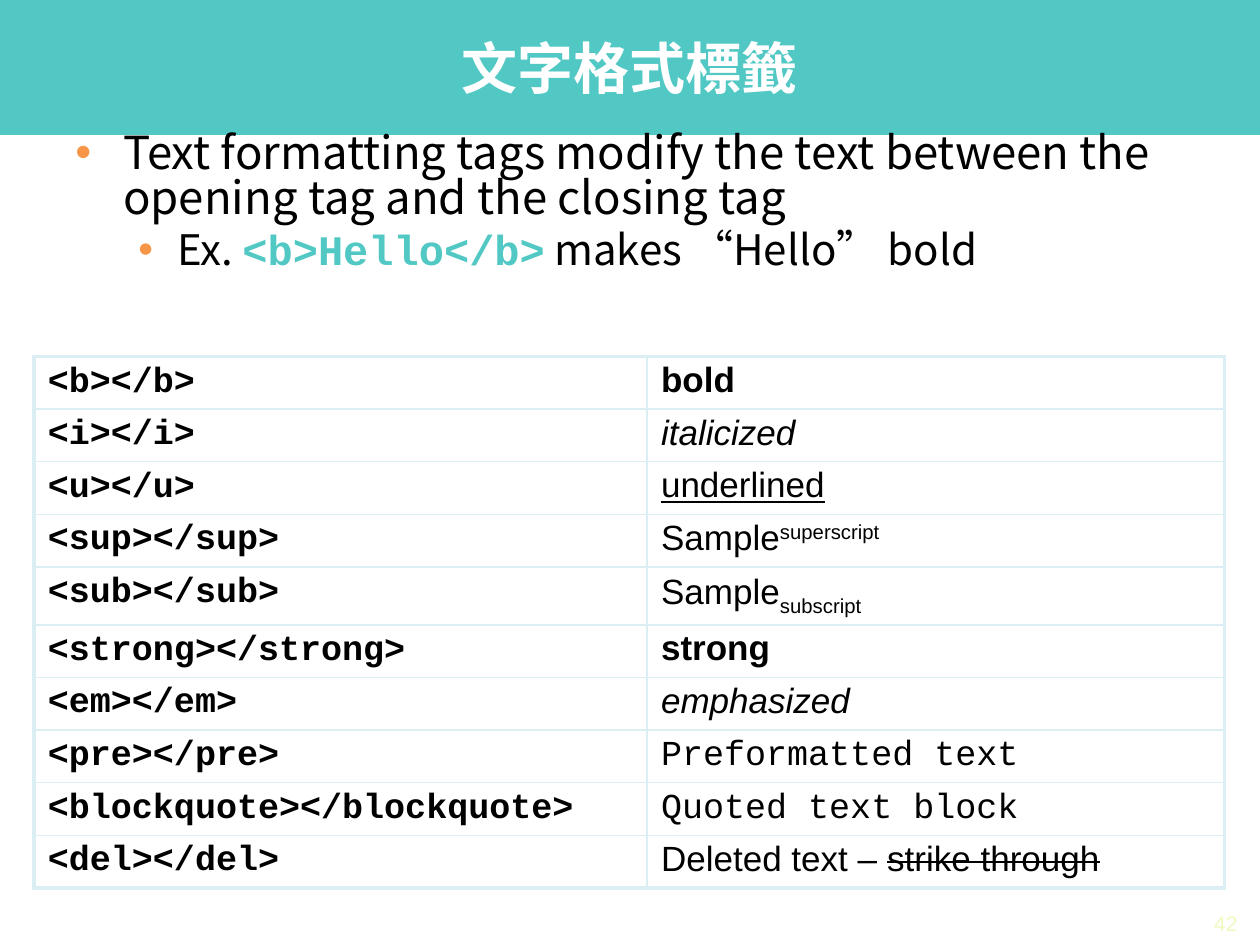
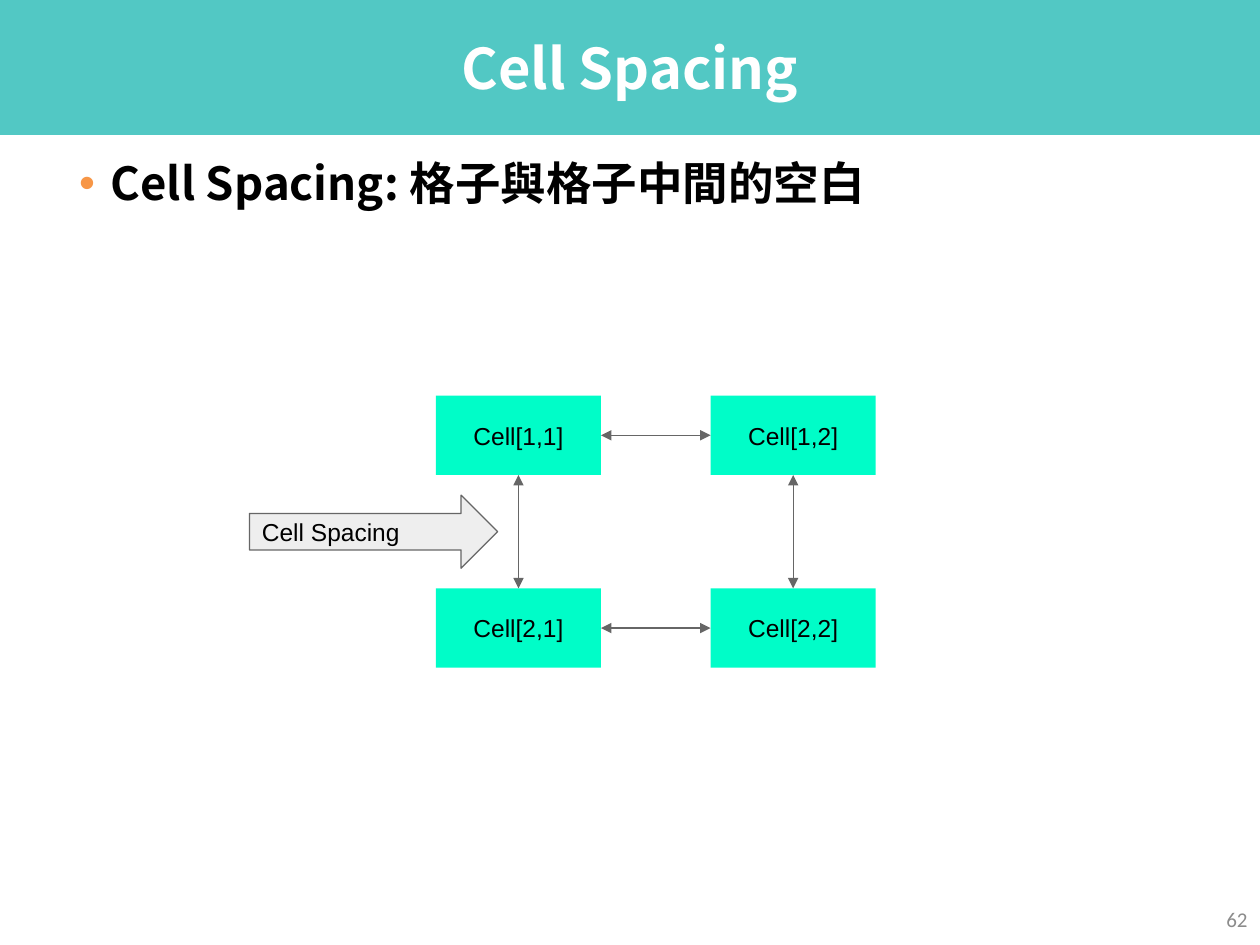
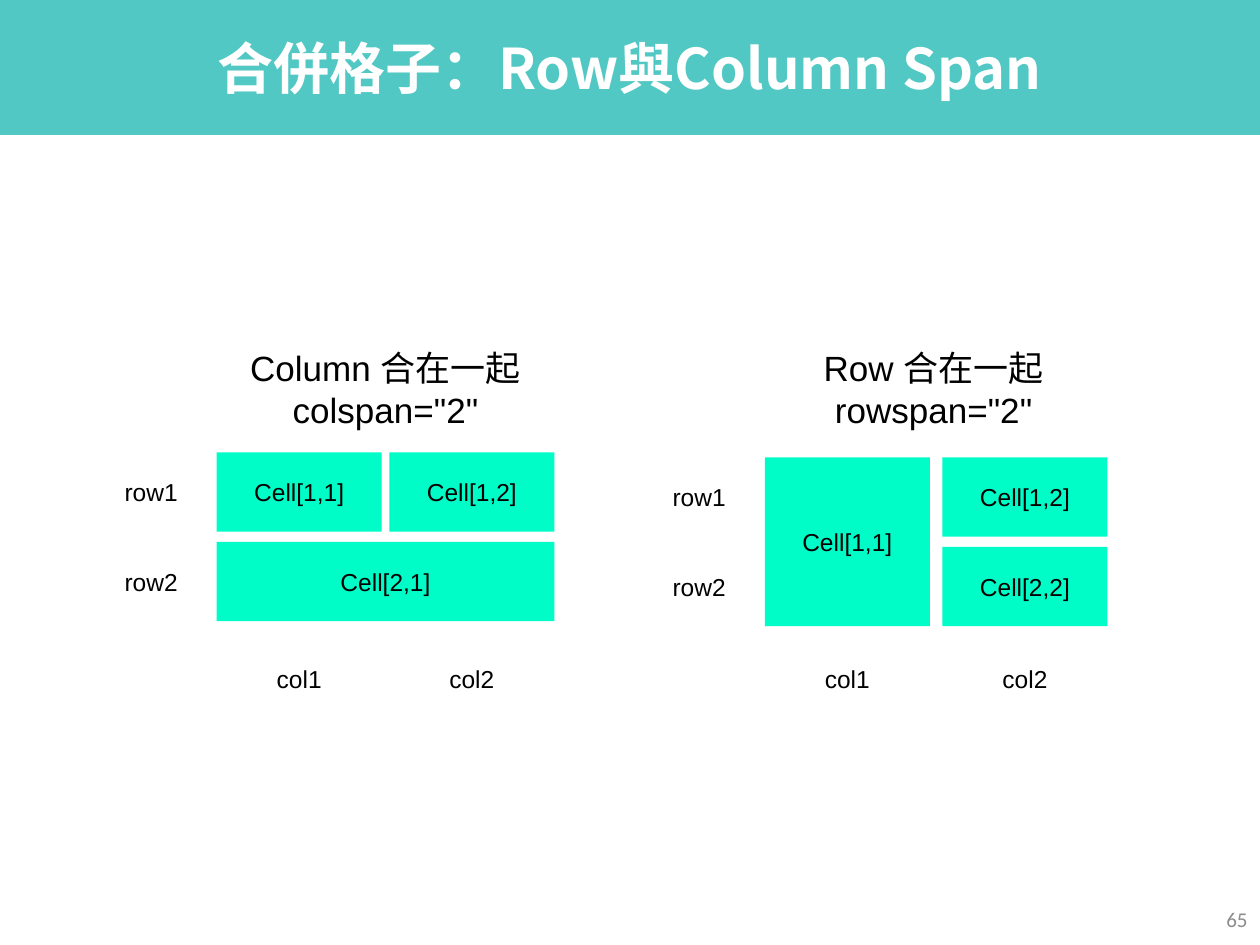
from dataclasses import dataclass

from lxml.etree import SubElement
from pptx import Presentation
from pptx.dml.color import RGBColor
from pptx.enum.shapes import MSO_CONNECTOR, MSO_SHAPE
from pptx.enum.text import MSO_ANCHOR, PP_ALIGN
from pptx.oxml.ns import qn
from pptx.util import Inches, Pt

COLORS = {
    "band": "52C8C4", "white": "FFFFFF", "text": "000000", "bullet": "F79646",
    "cell": "00FDC8", "line": "666666", "arrow": "EEEEEE",
    "border": "DBEEF4", "number": "8C8C8C", "pale_number": "F0FAC0",
}
SANS, CODE, CJK = "Arial", "Courier New", "Noto Sans CJK SC"
WIDTH, HEIGHT = 10, 7.5
CELL_W, CELL_H = 1.31, 0.63
LABEL_W, LABEL_H = 0.76, 0.38


@dataclass
class Box:
    left: float
    top: float
    width: float
    height: float

    def inches(self):
        return [Inches(v) for v in (self.left, self.top, self.width, self.height)]


@dataclass
class CellGrid:
    """Equal cells at a fixed step, counted from zero."""
    left: float
    top: float
    col_step: float
    row_step: float

    def box(self, row, col, rows=1, cols=1):
        return Box(self.left + col * self.col_step, self.top + row * self.row_step,
                   CELL_W + (cols - 1) * self.col_step,
                   CELL_H + (rows - 1) * self.row_step)


def rgb(name):
    return RGBColor.from_string(COLORS[name])


def style(font, size, name=SANS, color="text", bold=False):
    font.size, font.name, font.bold = Pt(size), name, bold
    font.color.rgb = rgb(color)
    east_asian = CJK if name == SANS else name
    SubElement(font._rPr, qn("a:ea")).set("typeface", east_asian)


def write(shape, text, size, align=PP_ALIGN.CENTER, inset=0.1, **font):
    frame = shape.text_frame
    frame.word_wrap = True
    frame.vertical_anchor = MSO_ANCHOR.MIDDLE
    frame.margin_left = frame.margin_right = Inches(0.1)
    frame.margin_top = frame.margin_bottom = Inches(inset)
    frame.text = text
    for paragraph in frame.paragraphs:
        paragraph.alignment = align
        style(paragraph.font, size, **font)


def add_block(slide, box, fill, kind=MSO_SHAPE.RECTANGLE, outline=None):
    block = slide.shapes.add_shape(kind, *box.inches())
    block.shadow.inherit = False
    block.fill.solid()
    block.fill.fore_color.rgb = rgb(fill)
    if outline:
        block.line.color.rgb = rgb(outline)
        block.line.width = Pt(0.75)
    else:
        block.line.fill.background()
    return block


def add_label(slide, box, text, size=14, **options):
    write(slide.shapes.add_textbox(*box.inches()), text, size, **options)


def add_cell(slide, box, text):
    cell = add_block(slide, box, "cell")
    write(cell, text, 14)
    return cell


def add_titled_slide(deck, title, number, number_box=Box(9.5, 7.17, 0.5, 0.25),
                     number_font="Calibri", number_color="number"):
    slide = deck.slides.add_slide(deck.slide_layouts[6])
    band = add_block(slide, Box(0, 0, WIDTH, HEIGHT / 7), "band")
    write(band, title, 32, inset=0.05, name=CJK, color="white", bold=True)
    add_label(slide, number_box, number, 12, align=PP_ALIGN.RIGHT, inset=0,
              name=number_font, color=number_color)
    return slide


def add_bullets(slide, box, items, spacing):
    """Each item is (indent, hanging, size, bold, runs); a run is (text, is_code)."""
    frame = slide.shapes.add_textbox(*box.inches()).text_frame
    frame.word_wrap = True
    for index, (indent, hanging, size, bold, runs) in enumerate(items):
        paragraph = frame.add_paragraph() if index else frame.paragraphs[0]
        paragraph.line_spacing = spacing
        if index:
            paragraph.space_before = Pt(size * 0.2)
        props = paragraph._p.get_or_add_pPr()
        props.set("marL", str(Inches(indent)))
        props.set("indent", str(-Inches(hanging)))
        bullet_color = SubElement(props, qn("a:buClr"))
        SubElement(bullet_color, qn("a:srgbClr")).set("val", COLORS["bullet"])
        SubElement(props, qn("a:buFont")).set("typeface", SANS)
        SubElement(props, qn("a:buChar")).set("char", "•")
        style(paragraph.font, size, CJK, bold=bold)
        for text, is_code in runs:
            run = paragraph.add_run()
            run.text = text
            if is_code:
                style(run.font, size, CODE, "band", True)


def set_borders(cell, widths):
    props = cell._tc.get_or_add_tcPr()
    for position, (side, width) in enumerate(widths.items()):
        border = props.makeelement(qn(f"a:ln{side}"), {"w": str(Pt(width))})
        fill = SubElement(border, qn("a:solidFill"))
        SubElement(fill, qn("a:srgbClr")).set("val", COLORS["border"])
        props.insert(position, border)


# Tag, font of the sample, then runs of (text, run attributes)
TAG_SAMPLES = [
    ("b", SANS, [("bold", {"b": "1"})]),
    ("i", SANS, [("italicized", {"i": "1"})]),
    ("u", SANS, [("underlined", {"u": "sng"})]),
    ("sup", SANS, [("Sample", {}), ("superscript", {"baseline": "30000"})]),
    ("sub", SANS, [("Sample", {}), ("subscript", {"baseline": "-25000"})]),
    ("strong", SANS, [("strong", {"b": "1"})]),
    ("em", SANS, [("emphasized", {"i": "1"})]),
    ("pre", CODE, [("Preformatted text", {})]),
    ("blockquote", CODE, [("Quoted text block", {})]),
    ("del", SANS, [("Deleted text – ", {}), ("strike through", {"strike": "sngStrike"})]),
]


def add_tag_table(slide, box):
    last = len(TAG_SAMPLES) - 1
    table = slide.shapes.add_table(last + 1, 2, *box.inches()).table
    table.first_row = table.horz_banding = False
    for column, share in zip(table.columns, (0.515, 0.485)):
        column.width = Inches(box.width * share)
    for row, (tag, sample_font, sample) in enumerate(TAG_SAMPLES):
        table.rows[row].height = Inches(0.44 if tag == "sub" else 0.4)
        contents = [(CODE, True, [(f"<{tag}></{tag}>", {})]),
                    (sample_font, False, sample)]
        for col, (font_name, bold, runs) in enumerate(contents):
            cell = table.cell(row, col)
            cell.margin_left = cell.margin_right = Inches(0.11)
            cell.fill.background()
            set_borders(cell, {"L": 1 if col else 2.25, "R": 2.25 if col else 1,
                               "T": 1 if row else 2.25, "B": 2.25 if row == last else 1})
            paragraph = cell.text_frame.paragraphs[0]
            paragraph.line_spacing = 0.95
            style(paragraph.font, 20, font_name, bold=bold)
            for text, attributes in runs:
                run = paragraph.add_run()
                run.text = text
                for key, value in attributes.items():
                    run._r.get_or_add_rPr().set(key, value)


def join(slide, start, start_side, end, end_side):
    """Double-headed arrow between the sides of two cells."""
    arrow = slide.shapes.add_connector(MSO_CONNECTOR.STRAIGHT, 0, 0, 0, 0)
    arrow.begin_connect(start, start_side)
    arrow.end_connect(end, end_side)
    arrow.line.color.rgb = rgb("line")
    arrow.line.width = Pt(0.75)
    for end_tag in ("a:headEnd", "a:tailEnd"):
        SubElement(arrow.line._get_or_add_ln(), qn(end_tag)).set("type", "triangle")
    SubElement(arrow._element.spPr, qn("a:effectLst"))


def add_spacing_diagram(slide, grid):
    cells = {(row, col): add_cell(slide, grid.box(row, col), f"Cell[{row + 1},{col + 1}]")
             for row in range(2) for col in range(2)}
    for i in range(2):
        join(slide, cells[0, i], 2, cells[1, i], 0)
        join(slide, cells[i, 0], 3, cells[i, 1], 1)
    # Callout halfway between the two rows
    middle = grid.top + (grid.row_step + CELL_H) / 2
    callout = add_block(slide, Box(grid.left - 1.48, middle - 0.29, 1.97, 0.58),
                        "arrow", MSO_SHAPE.RIGHT_ARROW, "line")
    write(callout, "Cell Spacing", 14, align=PP_ALIGN.LEFT)


def add_span_diagram(slide, grid, heading, spans):
    """Each span is (text, row, col, rows, cols)."""
    add_label(slide, Box(grid.left, 2.57, 2.68, 1.02), heading, 20)
    for text, *place in spans:
        add_cell(slide, grid.box(*place), text)
    for i in range(2):
        spot = grid.box(i, i)
        add_label(slide, Box(grid.left - 0.9, spot.top + (CELL_H - LABEL_H) / 2,
                             LABEL_W, LABEL_H), f"row{i + 1}")
        add_label(slide, Box(spot.left + (CELL_W - LABEL_W) / 2, 5.2,
                             LABEL_W, LABEL_H), f"col{i + 1}")


def build_formatting_slide(deck):
    slide = add_titled_slide(deck, "文字格式標籤", "42", Box(9.42, 7.2, 0.5, 0.25),
                             SANS, "pale_number")
    add_tag_table(slide, Box(0.27, 2.83, 9.45, 4.04))
    add_bullets(slide, Box(0.5, 1.01, 9.5, 1.6), [
        (0.38, 0.38, 26, False, [("Text formatting tags modify the text between the "
                                  "opening tag and the closing tag", False)]),
        (0.81, 0.31, 24, False, [("Ex. ", False), ("<b>Hello</b>", True),
                                 (" makes “Hello” bold", False)]),
    ], spacing=0.83)


def build_spacing_slide(deck):
    slide = add_titled_slide(deck, "Cell Spacing", "62")
    add_bullets(slide, Box(0.28, 1.23, 9.45, 0.7), [
        (0.5, 0.25, 26, True, [("Cell Spacing: 格子與格子中間的空白", False)]),
    ], spacing=0.9)
    add_spacing_diagram(slide, CellGrid(3.46, 3.14, 2.18, 1.53))


def build_span_slide(deck):
    slide = add_titled_slide(deck, "合併格子：Row與Column Span", "65")
    add_span_diagram(slide, CellGrid(1.72, 3.59, 1.37, 0.71),
                     'Column 合在一起\ncolspan="2"',
                     [("Cell[1,1]", 0, 0), ("Cell[1,2]", 0, 1), ("Cell[2,1]", 1, 0, 1, 2)])
    add_span_diagram(slide, CellGrid(6.07, 3.63, 1.41, 0.71),
                     'Row 合在一起\nrowspan="2"',
                     [("Cell[1,1]", 0, 0, 2, 1), ("Cell[1,2]", 0, 1), ("Cell[2,2]", 1, 1)])


def main():
    deck = Presentation()
    deck.slide_width, deck.slide_height = Inches(WIDTH), Inches(HEIGHT)
    build_formatting_slide(deck)
    build_spacing_slide(deck)
    build_span_slide(deck)
    deck.save("out.pptx")


if __name__ == "__main__":
    main()
